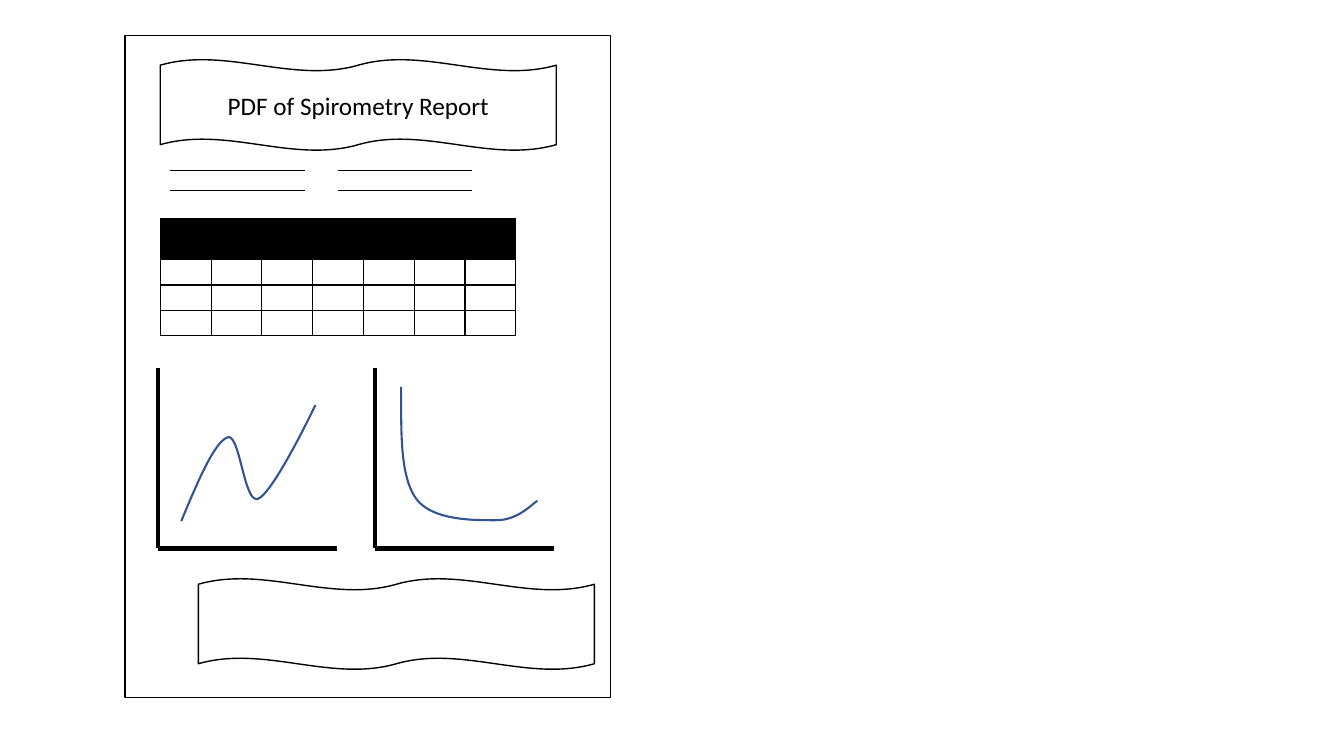
"""Build a slide that sketches the layout of a spirometry report page."""
from lxml import etree
from pptx import Presentation
from pptx.dml.color import RGBColor
from pptx.enum.shapes import MSO_CONNECTOR, MSO_SHAPE
from pptx.enum.text import MSO_ANCHOR, PP_ALIGN
from pptx.oxml.ns import qn
from pptx.util import Cm, Pt

RECTANGLE = MSO_SHAPE.RECTANGLE
DOUBLE_WAVE = MSO_SHAPE.DOUBLE_WAVE
STRAIGHT = MSO_CONNECTOR.STRAIGHT
CENTER = PP_ALIGN.CENTER
MIDDLE = MSO_ANCHOR.MIDDLE

COLORS = {"ink": "000000", "paper": "FFFFFF", "curve": "325491"}
FONT = "Calibri"
BLANK_LAYOUT = 6
CURVE_STEPS = 20

BANNER_SIZE = (9.98, 2.29)
RULE_LEFTS, RULE_TOPS, RULE_LENGTH = (4.29, 8.51), (4.29, 4.8), 3.39
TABLE_LEFT, TABLE_TOP = 4.04, 5.51
COLUMN_COUNT, COLUMN_WIDTH = 7, 1.28
HEADER_HEIGHT, BODY_HEIGHT, BODY_ROWS = 0.86, 0.64, 3
HEADER_SIZE, BODY_SIZE = 18, 8
PLOT_LEFTS, PLOT_TOP, PLOT_BOTTOM, PLOT_WIDTH = (3.99, 9.45), 9.27, 13.82, 4.5

PEAK_CURVE = [
    (4.57, 13.13), (4.98, 12.14), (5.41, 11.13), (5.74, 11.02), (6.05, 10.92),
    (6.15, 12.7), (6.5, 12.57), (6.88, 12.45), (7.95, 10.21), (7.95, 10.21),
]
DECAY_CURVE = [
    (10.11, 9.75), (10.11, 10.9), (10.08, 12.01), (10.49, 12.57), (10.9, 13.13),
    (11.99, 13.11), (12.5, 13.11), (13, 13.11), (13.31, 12.8), (13.54, 12.62),
]


def rgb(name):
    """Return the named colour."""
    return RGBColor.from_string(COLORS[name])


def style_line(line, color, width):
    """Set the colour and the width in points of a line."""
    line.color.rgb = rgb(color)
    line.width = Pt(width)


def add_panel(slide, kind, left, top, width, height):
    """Add a white outlined shape."""
    panel = slide.shapes.add_shape(kind, Cm(left), Cm(top), Cm(width), Cm(height))
    panel.shadow.inherit = False
    panel.fill.solid()
    panel.fill.fore_color.rgb = rgb("paper")
    style_line(panel.line, "ink", 1)
    return panel


def add_heading(banner, text):
    """Write a centred heading in a banner."""
    frame = banner.text_frame
    frame.word_wrap = True
    frame.vertical_anchor = MIDDLE
    paragraph = frame.paragraphs[0]
    paragraph.alignment = CENTER
    run = paragraph.add_run()
    run.text = text
    run.font.name = FONT
    run.font.size = Pt(18)
    run.font.color.rgb = rgb("ink")


def add_line(slide, start, end, width):
    """Add a straight black line."""
    line = slide.shapes.add_connector(
        STRAIGHT, Cm(start[0]), Cm(start[1]), Cm(end[0]), Cm(end[1]))
    style_line(line.line, "ink", width)
    etree.SubElement(line._element.spPr, qn("a:effectLst"))


def add_axes(slide, left):
    """Add the vertical and horizontal axis of a plot."""
    origin = (left, PLOT_BOTTOM)
    add_line(slide, (left, PLOT_TOP), origin, 3)
    add_line(slide, (left + PLOT_WIDTH, PLOT_BOTTOM), origin, 3)


def bezier_point(controls, t):
    """Return the point at t on a cubic curve, as lengths."""
    weights = ((1 - t) ** 3, 3 * t * (1 - t) ** 2, 3 * t * t * (1 - t), t ** 3)
    return tuple(Cm(sum(w * value for w, value in zip(weights, axis)))
                 for axis in zip(*controls))


def add_curve(slide, points):
    """Add an open smooth curve through chained cubic segments."""
    vertices = [bezier_point(points[first:first + 4], step / CURVE_STEPS)
                for first in range(0, len(points) - 1, 3)
                for step in range(1, CURVE_STEPS + 1)]
    start_x, start_y = points[0]
    builder = slide.shapes.build_freeform(Cm(start_x), Cm(start_y))
    builder.add_line_segments(vertices, close=False)
    curve = builder.convert_to_shape()
    curve.shadow.inherit = False
    curve.fill.background()
    style_line(curve.line, "curve", 1.5)


def add_borders(cell):
    """Draw thin black borders around a table cell."""
    properties = cell._tc.get_or_add_tcPr()
    for index, side in enumerate(("lnL", "lnR", "lnT", "lnB")):
        border = etree.Element(qn(f"a:{side}"), w=str(Pt(1)))
        fill = etree.SubElement(border, qn("a:solidFill"))
        etree.SubElement(fill, qn("a:srgbClr"), val=COLORS["ink"])
        properties.insert(index, border)


def add_results_table(slide):
    """Add the empty results table with its black header row."""
    heights = [HEADER_HEIGHT] + [BODY_HEIGHT] * BODY_ROWS
    table = slide.shapes.add_table(
        len(heights), COLUMN_COUNT, Cm(TABLE_LEFT), Cm(TABLE_TOP),
        Cm(COLUMN_COUNT * COLUMN_WIDTH), Cm(sum(heights))).table
    for column in table.columns:
        column.width = Cm(COLUMN_WIDTH)
    for index, (row, height) in enumerate(zip(table.rows, heights)):
        row.height = Cm(height)
        size = BODY_SIZE if index else HEADER_SIZE
        for cell in row.cells:
            cell.fill.solid()
            cell.fill.fore_color.rgb = rgb("paper" if index else "ink")
            add_borders(cell)
            paragraph = cell.text_frame.paragraphs[0]
            etree.SubElement(paragraph._p, qn("a:endParaRPr"), sz=str(size * 100))


def main():
    """Build and save the slide."""
    presentation = Presentation()
    presentation.slide_width, presentation.slide_height = Cm(33.87), Cm(19.05)
    slide = presentation.slides.add_slide(presentation.slide_layouts[BLANK_LAYOUT])

    add_panel(slide, RECTANGLE, 3.15, 0.89, 12.24, 16.69)
    header = add_panel(slide, DOUBLE_WAVE, 4.04, 1.5, *BANNER_SIZE)
    add_heading(header, "PDF of Spirometry Report")
    add_panel(slide, DOUBLE_WAVE, 5, 14.58, *BANNER_SIZE)
    for left in PLOT_LEFTS:
        add_axes(slide, left)
    for points in (PEAK_CURVE, DECAY_CURVE):
        add_curve(slide, points)
    add_results_table(slide)
    for left in RULE_LEFTS:
        for top in RULE_TOPS:
            add_line(slide, (left, top), (left + RULE_LENGTH, top), 0.75)

    presentation.save("out.pptx")


main()
